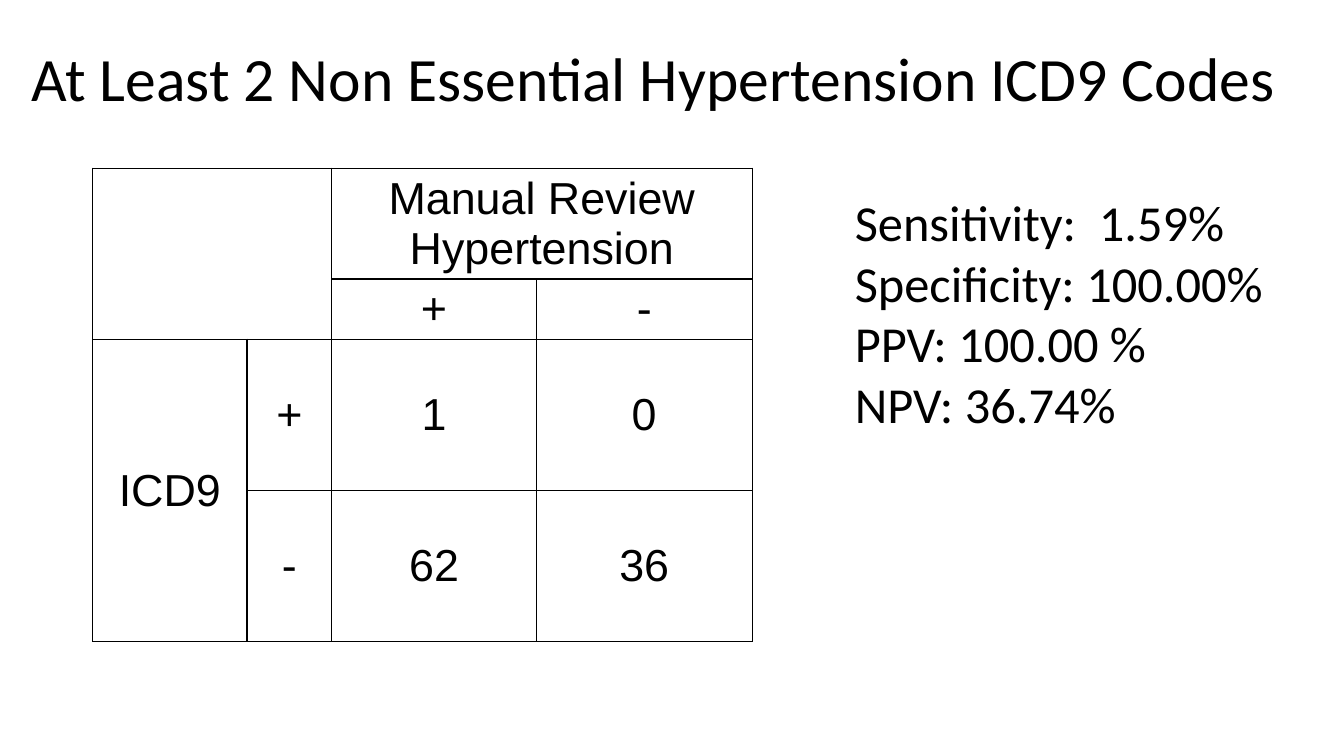
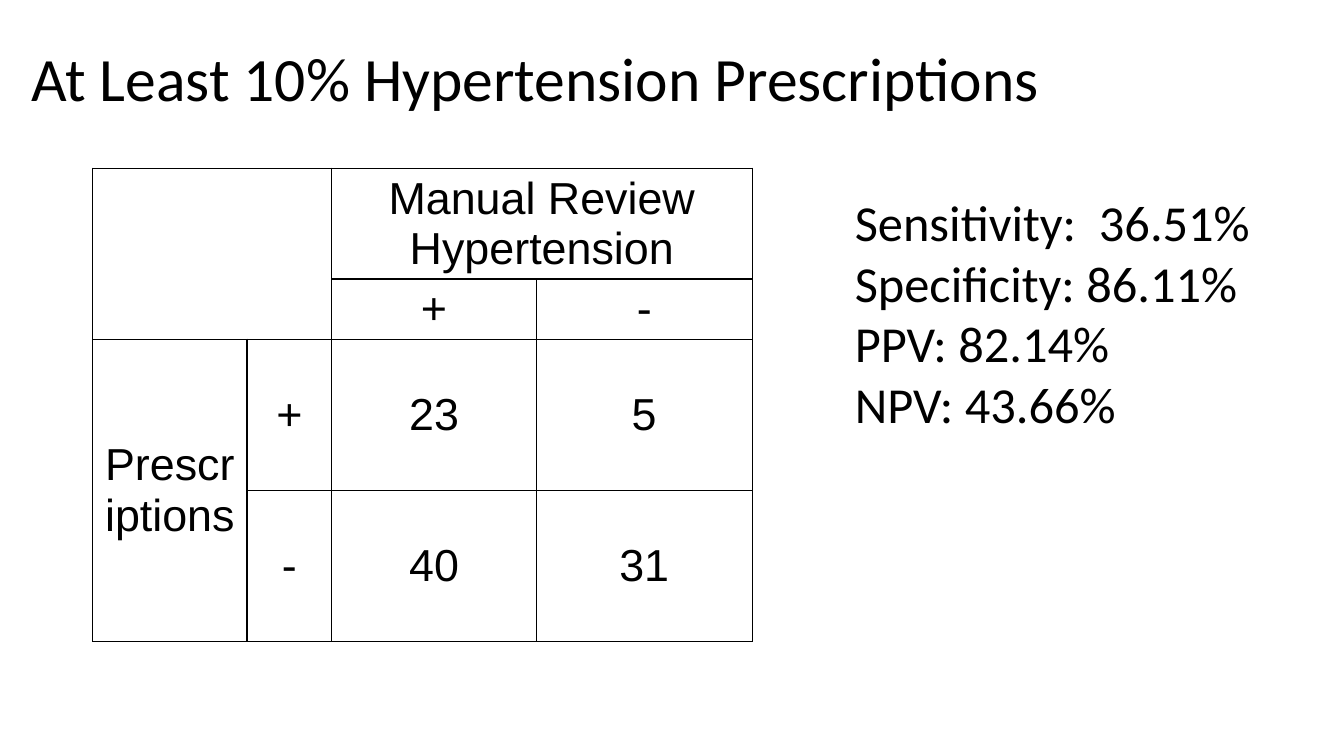
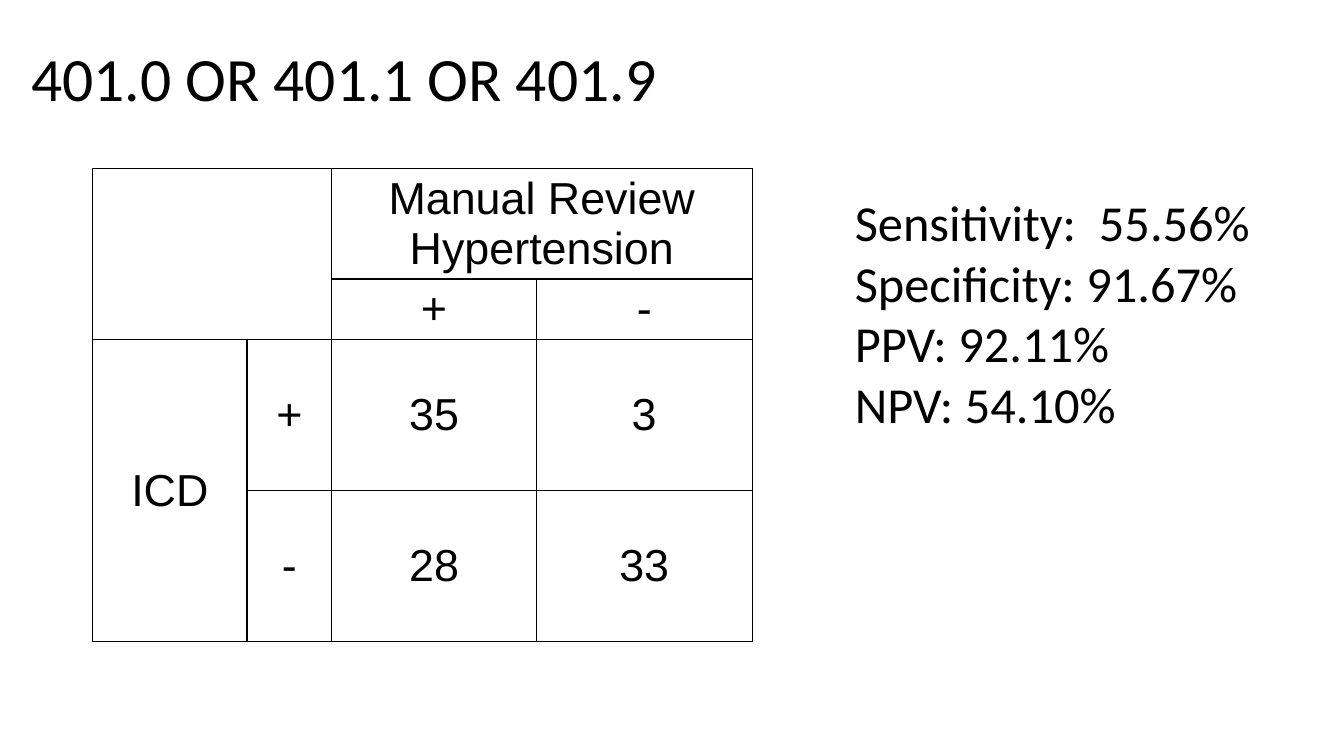
from dataclasses import dataclass
from typing import Any

from pptx import Presentation
from pptx.dml.color import RGBColor
from pptx.enum.text import MSO_ANCHOR, MSO_AUTO_SIZE, PP_ALIGN
from pptx.oxml import parse_xml
from pptx.oxml.ns import nsdecls
from pptx.util import Inches, Pt

COLORS = {"text": "000000", "border": "000000"}
COLUMN_WIDTHS = (1.53, 0.84, 2.03, 2.14)
ROW_HEIGHTS = (0.41, 0.41, 1.5, 1.5)
MERGES = (((0, 0), (1, 1)), ((0, 2), (0, 3)), ((2, 0), (3, 0)))


@dataclass(frozen=True)
class TextStyle:
    font: str
    size: int
    align: PP_ALIGN = PP_ALIGN.LEFT
    line_spacing: float = 1.0


@dataclass(frozen=True)
class Review:
    title: str
    test: str
    counts: tuple[tuple[int, int], tuple[int, int]]
    sensitivity: str
    specificity: str
    ppv: str
    npv: str


TITLE = TextStyle("Calibri", 44, line_spacing=0.9)
CELL = TextStyle("Arial", 32, PP_ALIGN.CENTER)
MEASURE = TextStyle("Calibri", 36)

REVIEWS = (
    Review("At Least 2 Non Essential Hypertension ICD9 Codes", "ICD9",
           ((1, 0), (62, 36)), "1.59%", "100.00%", "100.00 %", "36.74%"),
    Review("At Least 10% Hypertension Prescriptions", "Prescriptions",
           ((23, 5), (40, 31)), "36.51%", "86.11%", "82.14%", "43.66%"),
    Review("401.0 OR 401.1 OR 401.9", "ICD",
           ((35, 3), (28, 33)), "55.56%", "91.67%", "92.11%", "54.10%"),
)


def set_values(target: Any, values: dict[str, Any]) -> None:
    for name, value in values.items():
        setattr(target, name, value)


def write(frame: Any, lines: list[str], style: TextStyle) -> None:
    frame.text = "\n".join(lines)
    for para in frame.paragraphs:
        set_values(para, {"alignment": style.align, "line_spacing": style.line_spacing})
        for span in para.runs:
            set_values(span.font, {"name": style.font, "size": Pt(style.size), "bold": False})
            span.font.color.rgb = RGBColor.from_string(COLORS["text"])


def place(shape: Any, left: float, top: float, width: float, height: float) -> None:
    set_values(shape, {"left": Inches(left), "top": Inches(top),
                       "width": Inches(width), "height": Inches(height)})


def add_title(page: Any, text: str) -> None:
    title = page.shapes.title
    place(title, 0.21, 0.08, 12.91, 1.45)
    write(title.text_frame, [text], TITLE)
    set_values(title.text_frame, {"word_wrap": True, "auto_size": MSO_AUTO_SIZE.NONE,
                                  "vertical_anchor": MSO_ANCHOR.MIDDLE})


def add_borders(cell: Any) -> None:
    properties = cell._tc.get_or_add_tcPr()
    for side in ("lnL", "lnR", "lnT", "lnB"):
        properties.append(parse_xml(
            f'<a:{side} {nsdecls("a")} w="{Pt(1)}"><a:solidFill>'
            f'<a:srgbClr val="{COLORS["border"]}"/></a:solidFill></a:{side}>'))


def add_counts_table(page: Any, review: Review) -> None:
    (true_positive, false_positive), (false_negative, true_negative) = review.counts
    rows = (
        ("", "", "Manual Review Hypertension", ""),
        ("", "", "+", "-"),
        (review.test, "+", true_positive, false_positive),
        ("", "-", false_negative, true_negative),
    )
    table = page.shapes.add_table(
        len(ROW_HEIGHTS), len(COLUMN_WIDTHS), Inches(0.92), Inches(1.67),
        Inches(sum(COLUMN_WIDTHS)), Inches(sum(ROW_HEIGHTS))).table
    set_values(table, {"first_row": False, "horz_banding": False})
    for column, width in zip(table.columns, COLUMN_WIDTHS):
        column.width = Inches(width)
    for row, height in zip(table.rows, ROW_HEIGHTS):
        row.height = Inches(height)
    for start, end in MERGES:
        table.cell(*start).merge(table.cell(*end))
    for row_index, values in enumerate(rows):
        for column_index, value in enumerate(values):
            cell = table.cell(row_index, column_index)
            add_borders(cell)
            cell.fill.background()
            cell.vertical_anchor = MSO_ANCHOR.MIDDLE if row_index else MSO_ANCHOR.TOP
            if value != "":
                write(cell.text_frame, [str(value)], CELL)


def add_measures(page: Any, review: Review) -> None:
    box = page.shapes.add_textbox(Inches(8.38), Inches(1.85), Inches(4.49), Inches(2.52))
    box.text_frame.word_wrap = True
    write(box.text_frame, [
        f"Sensitivity:  {review.sensitivity}",
        f"Specificity: {review.specificity}",
        f"PPV: {review.ppv}",
        f"NPV: {review.npv}",
    ], MEASURE)


def build_deck() -> None:
    deck = Presentation()
    set_values(deck, {"slide_width": Inches(13.33), "slide_height": Inches(7.5)})
    title_only = deck.slide_layouts.get_by_name("Title Only")
    for review in REVIEWS:
        page = deck.slides.add_slide(title_only)
        add_title(page, review.title)
        add_counts_table(page, review)
        add_measures(page, review)
    deck.save("out.pptx")


build_deck()
